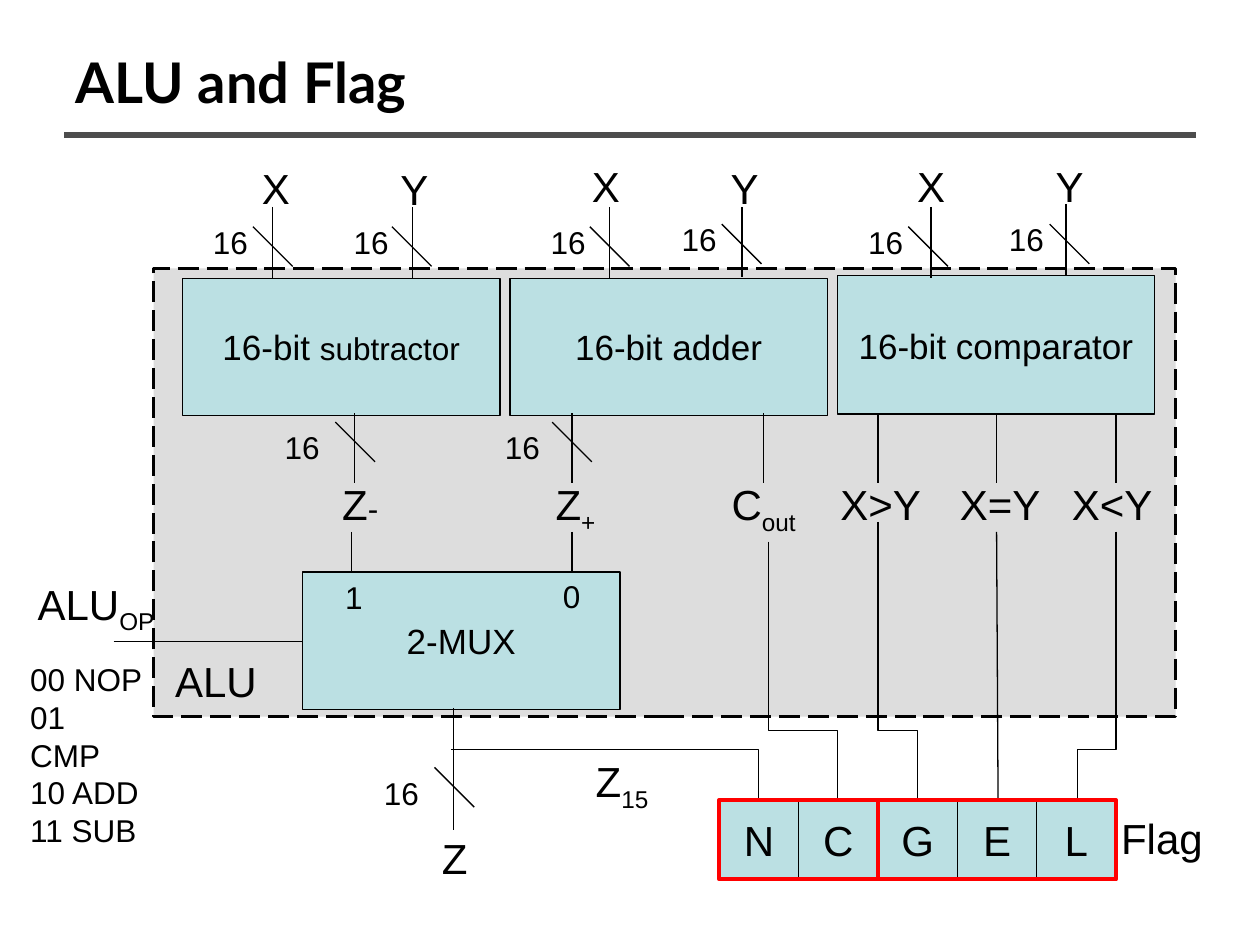
from dataclasses import dataclass
from lxml import etree
from pptx import Presentation
from pptx.dml.color import RGBColor
from pptx.enum.dml import MSO_LINE
from pptx.enum.shapes import MSO_CONNECTOR, MSO_SHAPE
from pptx.enum.text import MSO_ANCHOR, MSO_AUTO_SIZE, PP_ALIGN
from pptx.oxml.ns import qn
from pptx.util import Cm, Pt

RECT = MSO_SHAPE.RECTANGLE
LINE = MSO_CONNECTOR.STRAIGHT
DASH = MSO_LINE.LONG_DASH
MID, TOP = MSO_ANCHOR.MIDDLE, MSO_ANCHOR.TOP
LEFT, MIDST = PP_ALIGN.LEFT, PP_ALIGN.CENTER
GROW = MSO_AUTO_SIZE.SHAPE_TO_FIT_TEXT

BLACK, TEAL, GREY, RED, RULE = "000000", "BBE0E3", "DDDDDD", "FF0000", "4D4D4D"
BOX_W, BOX_H = 6.4, 2.77
CELL, SLASH = 1.6, 0.8
FLAG_X, FLAG_Y = 14.5, 16.13


@dataclass
class Run:
    text: str
    size: float = 24
    sub: bool = False


@dataclass
class Box:
    x: float
    y: float
    w: float
    h: float
    fill: str = ""
    edge: str = BLACK
    thick: float = 0.75
    runs: tuple = ()


@dataclass
class Label:
    x: float
    y: float
    w: float
    lines: tuple
    h: float = 1.27


@dataclass
class Wire:
    x1: float
    y1: float
    x2: float
    y2: float


@dataclass
class Bus:
    x: float
    top: float
    end: float
    cut_x: float
    cut_y: float
    tag_x: float
    tag_y: float


def tint(code: str) -> RGBColor:
    return RGBColor.from_string(code)


def apply(thing, form: dict) -> None:
    for key, value in form.items():
        setattr(thing, key, value)


def add_run(para, run: Run, face: str = "Arial", bold: bool = False) -> None:
    part = para.add_run()
    part.text = run.text
    apply(part.font, {"name": face, "size": Pt(run.size), "bold": bold})
    part.font.color.rgb = tint(BLACK)
    if run.sub:
        part.font._element.set("baseline", "-25000")


def write(frame, lines: tuple, align) -> None:
    for i, runs in enumerate(lines):
        para = frame.paragraphs[0] if i == 0 else frame.add_paragraph()
        para.alignment = align
        for run in runs:
            add_run(para, run)


def stroke(shape, color: str, thick: float) -> None:
    shape.line.color.rgb = tint(color)
    shape.line.width = Pt(thick)


def draw_box(slide, box: Box):
    shape = slide.shapes.add_shape(RECT, Cm(box.x), Cm(box.y), Cm(box.w), Cm(box.h))
    shape.shadow.inherit = False
    if box.fill:
        shape.fill.solid()
        shape.fill.fore_color.rgb = tint(box.fill)
    else:
        shape.fill.background()
    stroke(shape, box.edge, box.thick)
    if box.runs:
        apply(shape.text_frame, {"word_wrap": False, "vertical_anchor": MID})
        write(shape.text_frame, (box.runs,), MIDST)
    return shape


def draw_label(slide, label: Label) -> None:
    shape = slide.shapes.add_textbox(Cm(label.x), Cm(label.y), Cm(label.w), Cm(label.h))
    apply(shape.text_frame, {"word_wrap": False, "auto_size": GROW, "vertical_anchor": TOP})
    write(shape.text_frame, label.lines, LEFT)


def draw_wire(slide, wire: Wire, color: str = BLACK, thick: float = 0.75) -> None:
    line = slide.shapes.add_connector(LINE, Cm(wire.x1), Cm(wire.y1), Cm(wire.x2), Cm(wire.y2))
    stroke(line, color, thick)
    etree.SubElement(line._element.spPr, qn("a:effectLst"))


def draw_bus(slide, bus: Bus) -> None:
    draw_wire(slide, Wire(bus.x, bus.top, bus.x, bus.end))
    draw_wire(slide, Wire(bus.cut_x, bus.cut_y, bus.cut_x + SLASH, bus.cut_y + SLASH))
    draw_label(slide, Label(bus.tag_x, bus.tag_y, 1.22, ((Run("16", 18),),), 1.02))


def draw_route(slide, route: tuple) -> None:
    dots = [(Cm(x), Cm(y)) for x, y in route]
    pen = slide.shapes.build_freeform(*dots[0])
    pen.add_line_segments(dots[1:], close=False)
    shape = pen.convert_to_shape()
    shape.shadow.inherit = False
    shape.fill.background()
    stroke(shape, BLACK, 0.75)


UNITS = (
    Box(3.68, 5.61, BOX_W, BOX_H, TEAL, runs=(Run("16-bit ", 20), Run("subtractor", 18))),
    Box(10.28, 5.61, BOX_W, BOX_H, TEAL, runs=(Run("16-bit adder", 20),)),
    Box(16.88, 5.56, BOX_W, 2.79, TEAL, runs=(Run("16-bit comparator", 20),)),
    Box(6.1, 11.53, BOX_W, BOX_H, TEAL, runs=(Run("2-MUX", 20),)),
)
BUSES = (
    Bus(5.49, 4.17, 5.61, 5.1, 4.57, 4.04, 4.37),
    Bus(8.31, 4.17, 5.61, 7.9, 4.57, 6.88, 4.37),
    Bus(12.29, 4.17, 5.61, 11.89, 4.57, 10.85, 4.37),
    Bus(14.96, 4.17, 5.59, 14.55, 4.52, 13.49, 4.32),
    Bus(18.77, 4.17, 5.61, 18.31, 4.57, 17.25, 4.37),
    Bus(21.49, 4.11, 5.56, 21.16, 4.52, 20.09, 4.32),
    Bus(7.14, 8.33, 9.73, 6.76, 8.51, 5.49, 8.51),
    Bus(11.53, 8.33, 9.73, 11.13, 8.51, 9.93, 8.51),
    Bus(9.14, 14.27, 16.74, 8.76, 15.47, 7.49, 15.47),
)
WIRES = (
    *(Wire(x, 8.33, x, 9.73) for x in (15.39, 17.7, 20.09, 22.5)),
    *(Wire(x, 10.72, x, 11.53) for x in (7.09, 11.53)),
    Wire(2.29, 12.93, 6.1, 12.93),
    Wire(20.09, 10.72, 20.12, FLAG_Y),
)
ROUTES = (
    ((22.5, 10.72), (22.5, 15.11), (21.72, 15.11), (21.72, FLAG_Y)),
    ((17.7, 10.52), (17.7, 14.73), (18.49, 14.73), (18.49, FLAG_Y)),
    ((15.49, 10.92), (15.49, 14.73), (16.89, 14.73), (16.89, FLAG_Y)),
    ((9.09, 15.11), (15.29, 15.11), (15.29, FLAG_Y)),
)
PORTS = (("X", 5.03, 3.15), ("Y", 7.82, 3.18), ("X", 11.68, 3.12),
         ("Y", 14.48, 3.15), ("X", 18.24, 3.12), ("Y", 21.03, 3.12))
TESTS = (("X>Y", 16.69), ("X=Y", 19.1), ("X<Y", 21.36))
CODES = ("00 NOP", "01 CMP", "10 ADD", "11 SUB")
LABELS = (
    *(Label(x, y, 1.07, ((Run(name),),)) for name, x, y in PORTS),
    *(Label(x, 9.53, 2.13, ((Run(name),),)) for name, x in TESTS),
    Label(6.65, 9.53, 1.24, ((Run("Z"), Run("-", 18)),)),
    Label(10.95, 9.53, 1.35, ((Run("Z"), Run("+", sub=True)),)),
    Label(14.5, 9.53, 1.9, ((Run("C"), Run("out", sub=True)),)),
    Label(11.76, 15.11, 1.65, ((Run("Z"), Run("15", sub=True)),)),
    Label(0.51, 11.53, 2.97, ((Run("ALU"), Run("OP", sub=True)),)),
    Label(8.66, 16.66, 1.02, ((Run("Z"),),)),
    Label(3.28, 13.08, 2.16, ((Run("ALU"),),)),
    Label(22.35, 16.26, 2.16, ((Run("Flag"),),)),
    Label(11.1, 11.51, 0.86, ((Run("0", 18),),), 1.02),
    Label(6.71, 11.53, 0.86, ((Run("1", 18),),), 1.02),
    Label(0.36, 13.18, 2.79, tuple((Run(code, 18),) for code in CODES), 3.3),
)


def main() -> None:
    deck = Presentation()
    apply(deck, {"slide_width": Cm(25.4), "slide_height": Cm(19.05)})
    slide = deck.slides.add_slide(deck.slide_layouts[5])
    title = slide.shapes.title
    apply(title, {"left": Cm(1.27), "top": Cm(0.76), "width": Cm(22.86), "height": Cm(1.75)})
    title.text_frame.vertical_anchor = MID
    para = title.text_frame.paragraphs[0]
    para.alignment = LEFT
    add_run(para, Run("ALU and Flag", 32), "Lato", True)
    draw_wire(slide, Wire(1.3, 2.72, 24.1, 2.72), RULE, 3)
    draw_box(slide, Box(3.1, 5.41, 20.6, 9.04, GREY, thick=1.5)).line.dash_style = DASH
    for unit in UNITS:
        draw_box(slide, unit)
    for i, flag in enumerate("NCGEL"):
        draw_box(slide, Box(FLAG_X + i * CELL, FLAG_Y, CELL, CELL, TEAL, runs=(Run(flag),)))
    for bus in BUSES:
        draw_bus(slide, bus)
    for wire in WIRES:
        draw_wire(slide, wire)
    for route in ROUTES:
        draw_route(slide, route)
    for label in LABELS:
        draw_label(slide, label)
    for start, count in ((0, 2), (2, 3)):
        draw_box(slide, Box(FLAG_X + start * CELL, FLAG_Y, count * CELL, CELL, "", RED, 2.25))
    deck.save("out.pptx")


if __name__ == "__main__":
    main()
